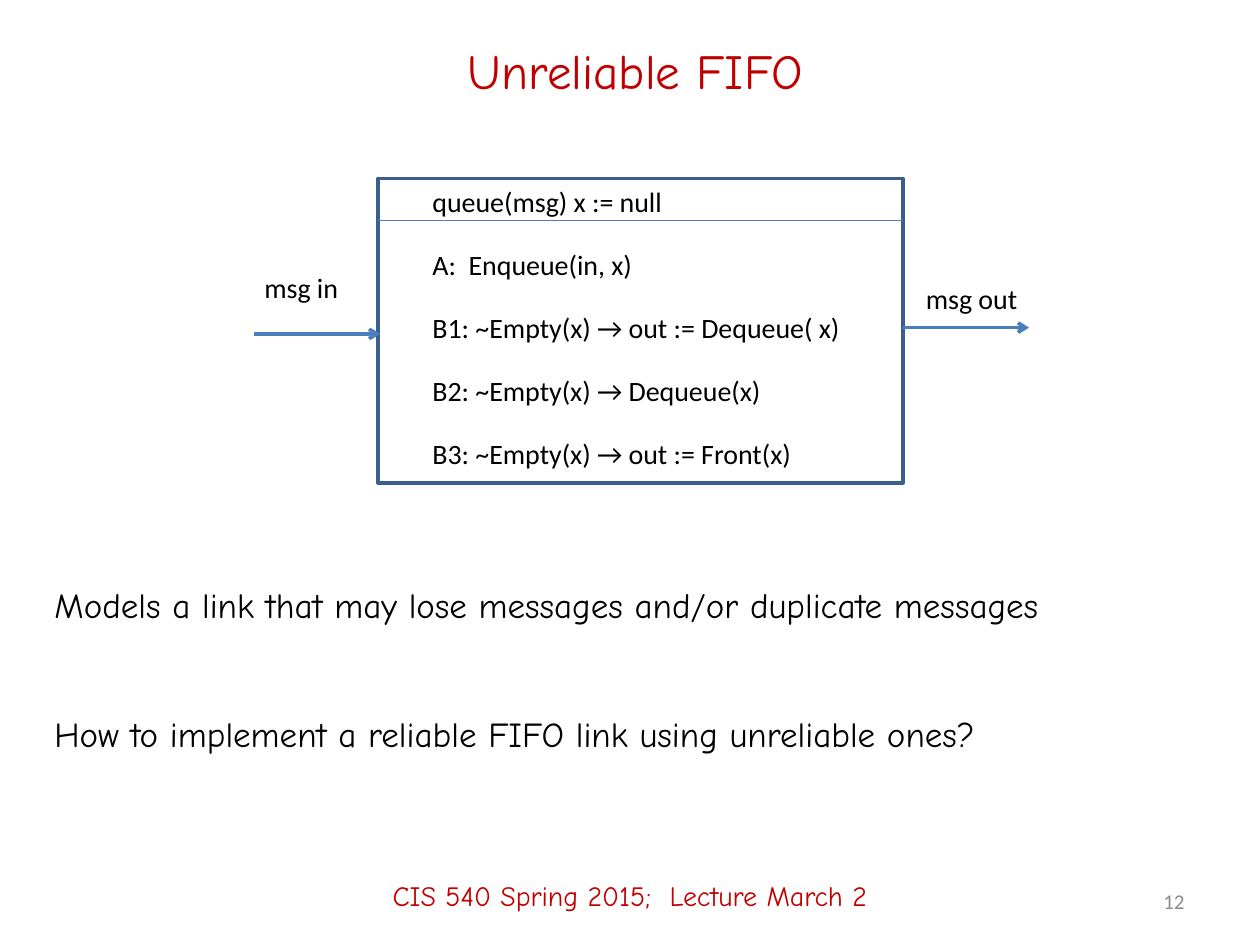
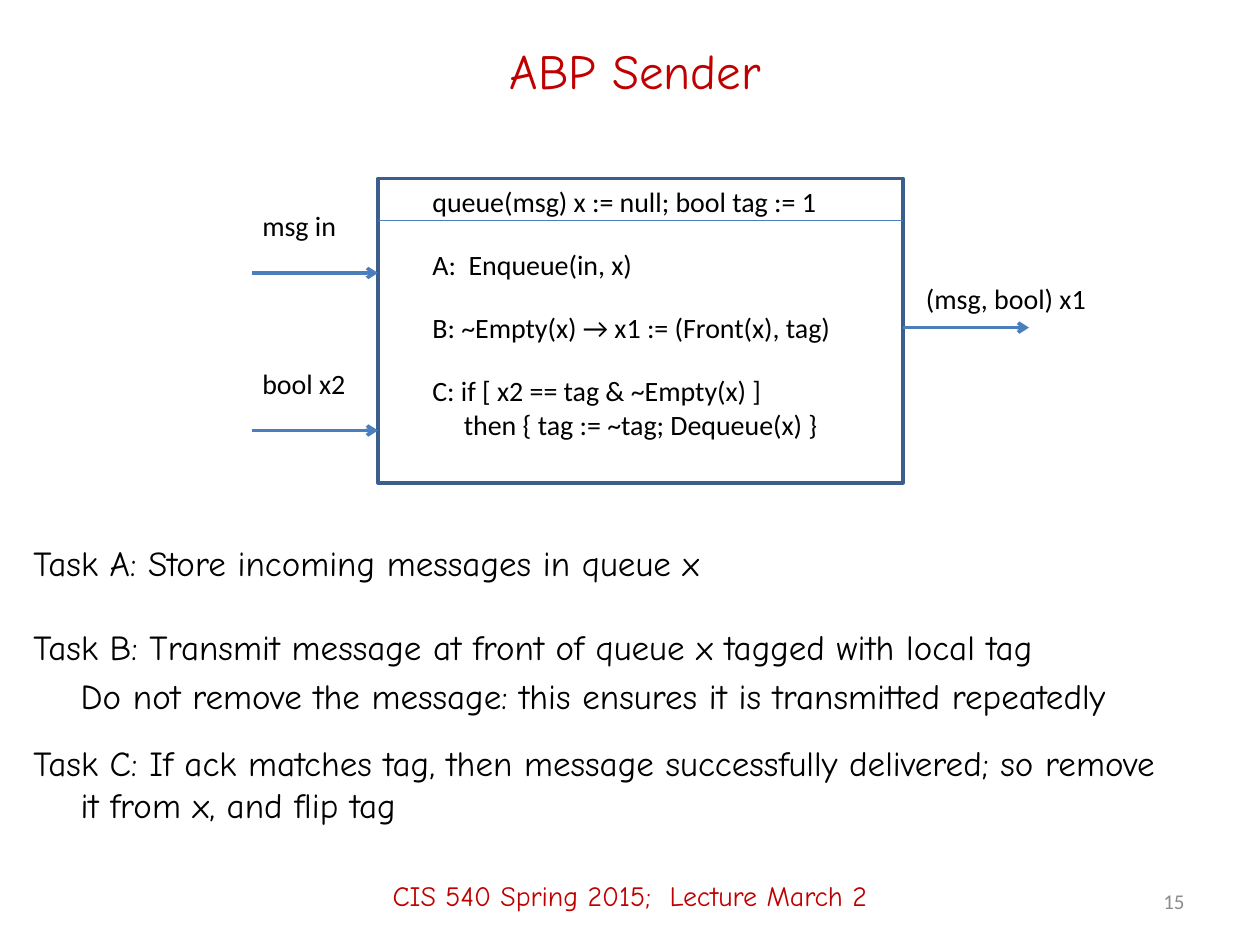
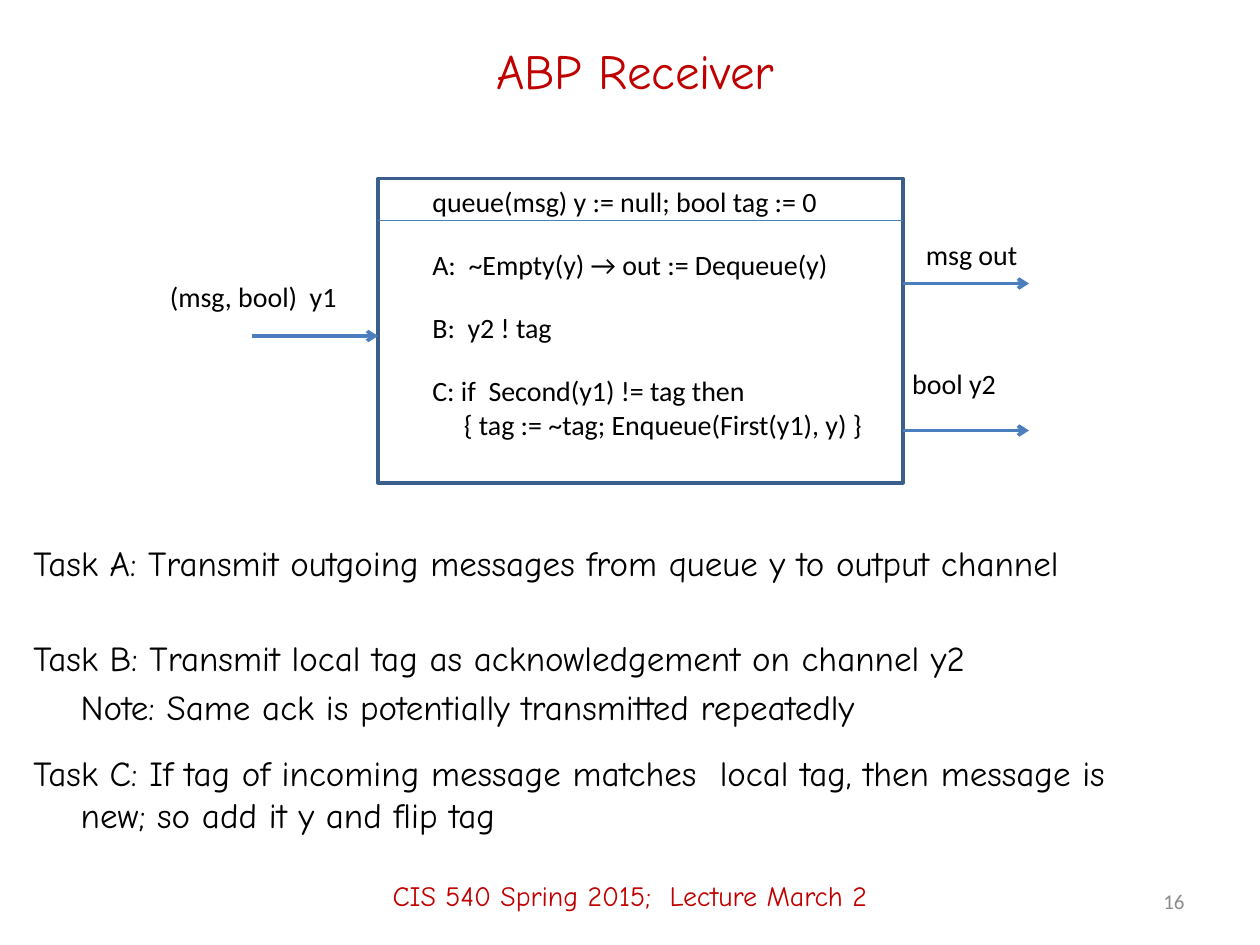
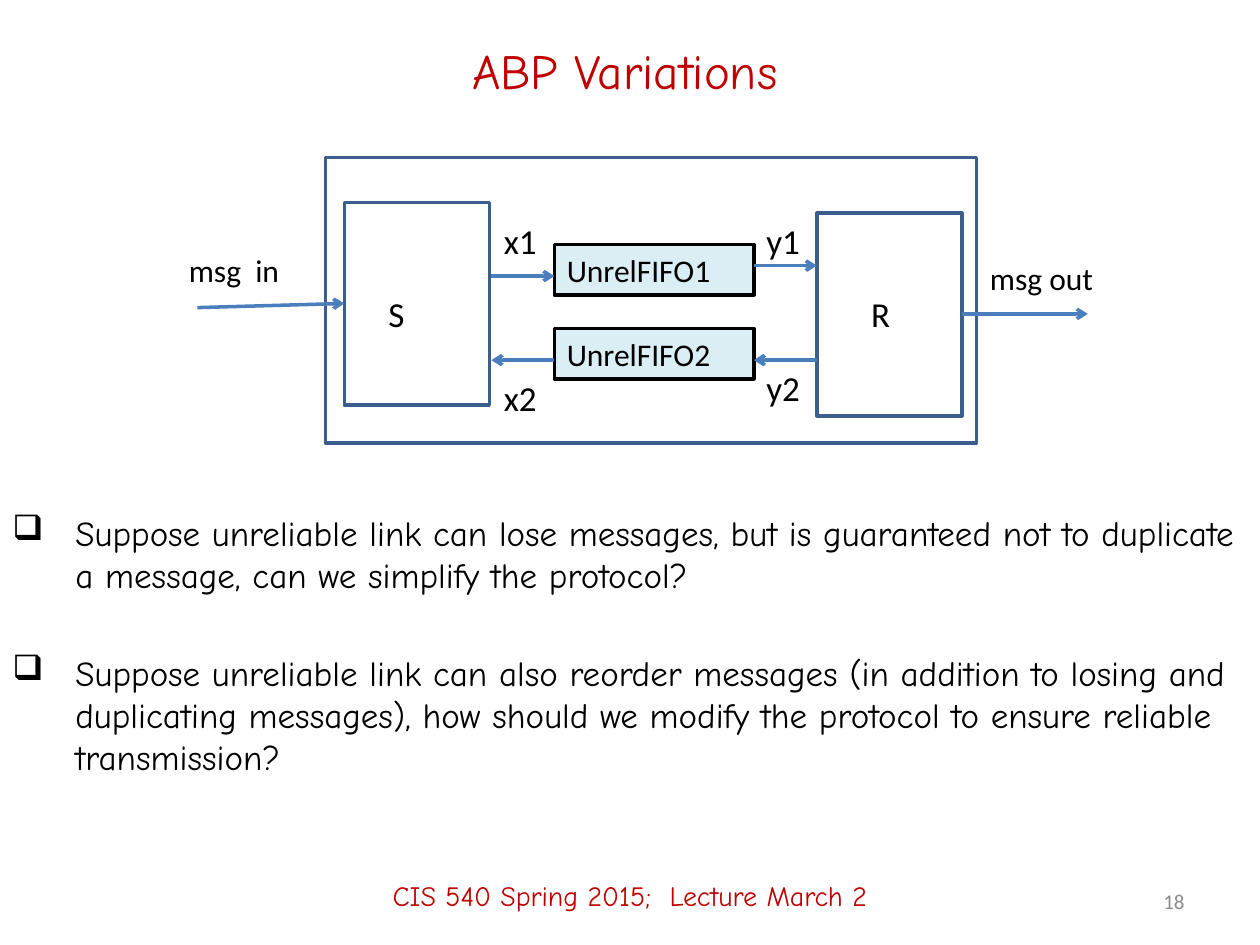
from pptx import Presentation
from pptx.util import Pt
from pptx.dml.color import RGBColor as RGB
from pptx.enum.shapes import MSO_SHAPE as SHAPE, MSO_CONNECTOR as CONN
from pptx.enum.text import PP_ALIGN as AL, MSO_ANCHOR as ANC, MSO_AUTO_SIZE as AUTO
from pptx.oxml.ns import qn
from lxml import etree

PX = 7620  # 120 px to the inch
COLORS = {"red": "C00000", "black": "000000", "gray": "8C8C8C",
          "frame": "3A5F8C", "arrow": "4B7EBC", "pale": "DBEEF4"}
HAND, SANS = "Comic Neue", "Calibri"
BODY = dict(size=20, font=HAND, hang=45)


def add_text(s, text, x, y, w, h, size=16, font=SANS, color="black", align=AL.LEFT,
             anchor=ANC.TOP, wrap=True, hang=0, bullet=None, gap=0, top=6,
             fill=None, line=None):
    """Add a text box, or a rectangle when a line colour is given."""
    box = [v * PX for v in (x, y, w, h)]
    if line:
        sp = s.shapes.add_shape(SHAPE.RECTANGLE, *box)
        sp.shadow.inherit = False
        sp.line.color.rgb = RGB.from_string(COLORS[line])
        sp.line.width = Pt(2)
        if fill:
            sp.fill.solid()
            sp.fill.fore_color.rgb = RGB.from_string(COLORS[fill])
        else:
            sp.fill.background()
    else:
        sp = s.shapes.add_textbox(*box)
    if not text:
        return
    tf = sp.text_frame
    tf.word_wrap = wrap
    tf.auto_size = AUTO.NONE if wrap else AUTO.SHAPE_TO_FIT_TEXT
    tf.vertical_anchor = anchor
    tf.margin_top = top * PX
    for i, part in enumerate(text.split("\n")):
        p = tf.paragraphs[0] if i == 0 else tf.add_paragraph()
        p.alignment = align
        if hang:
            pPr = p._p.get_or_add_pPr()
            pPr.set("marL", str(hang * PX))
            pPr.set("indent", str(0 if i and not bullet else -hang * PX))
            if bullet:
                etree.SubElement(pPr, qn("a:buChar")).set("char", bullet)
        if i:
            p.space_before = Pt(gap)
        r = p.add_run()
        r.text = part
        r.font.size = Pt(size)
        r.font.name = font
        r.font.color.rgb = RGB.from_string(COLORS[color])


def add_line(s, x1, y1, x2, y2, width=2, arrow=True):
    c = s.shapes.add_connector(CONN.STRAIGHT, *[v * PX for v in (x1, y1, x2, y2)])
    c.line.color.rgb = RGB.from_string(COLORS["arrow"])
    c.line.width = Pt(width)
    if arrow:
        etree.SubElement(c.line._get_or_add_ln(), qn("a:tailEnd")).set("type", "arrow")
    etree.SubElement(c._element.spPr, qn("a:effectLst"))


prs = Presentation()
prs.slide_width, prs.slide_height = 1200 * PX, 900 * PX

# Title, footer and number of every slide
slides = []
for title, x, number in [("Unreliable FIFO", 90, 12), ("ABP Sender", 90, 15),
                         ("ABP Receiver", 90, 16), ("ABP Variations", 80, 18)]:
    s = prs.slides.add_slide(prs.slide_layouts[6])
    slides.append(s)
    add_text(s, title, x, 20, 1030, 94, size=28, font=HAND, color="red",
             align=AL.CENTER, anchor=ANC.MIDDLE)
    add_text(s, "CIS 540 Spring 2015;  Lecture March 2", 0, 806, 1200, 94, font=HAND,
             color="red", align=AL.CENTER, anchor=ANC.MIDDLE)
    add_text(s, str(number), 860, 834, 280, 48, size=12, color="gray",
             align=AL.RIGHT, anchor=ANC.MIDDLE)

# Component slides: code (text, width), ports (label, x, y, width, arrow x, arrow y)
# and notes (text, x, y, width, height)
components = [
    dict(code=[("queue(msg) x := null", 245), ("A:  Enqueue(in, x)", 217),
               ("B1: ~Empty(x) → out := Dequeue( x)", 433),
               ("B2: ~Empty(x) → Dequeue(x)", 343),
               ("B3: ~Empty(x) → out := Front(x)", 386)],
         ports=[("msg in", 240, 252, 95, 242, 318),
                ("msg out", 870, 262, 113, 860, 312)],
         notes=[("Models a link that may lose messages and/or duplicate messages",
                 40, 550, 1100, 90),
                ("How to implement a reliable FIFO link using unreliable ones?",
                 40, 673, 980, 70)]),
    dict(code=[("queue(msg) x := null; bool tag := 1", 394), ("A:  Enqueue(in, x)", 217),
               ("B: ~Empty(x) → x1 := (Front(x), tag)", 410),
               ("C: if [ x2 == tag & ~Empty(x) ]\n     then { tag := ~tag; Dequeue(x) }", 396)],
         ports=[("msg in", 238, 193, 95, 240, 260),
                ("bool x2", 238, 343, 104, 240, 410),
                ("(msg, bool) x1", 870, 262, 179, 860, 312)],
         notes=[("Task A: Store incoming messages in queue x", 20, 510, 1100, 90),
                ("Task B: Transmit message at front of queue x tagged with local tag\n"
                 "Do not remove the message: this ensures it is transmitted repeatedly",
                 20, 590, 1160, 90),
                ("Task C: If ack matches tag, then message successfully delivered; "
                 "so remove it from x, and flip tag", 20, 700, 1100, 90)]),
    dict(code=[("queue(msg) y := null; bool tag := 0", 394),
               ("A:  ~Empty(y) → out := Dequeue(y)", 408), ("B:  y2 ! tag", 139),
               ("C: if  Second(y1) != tag then\n     { tag := ~tag; Enqueue(First(y1), y) }", 439)],
         ports=[("(msg, bool)  y1", 150, 260, 185, 240, 320),
                ("msg out", 870, 220, 113, 860, 270),
                ("bool y2", 857, 343, 106, 860, 410)],
         notes=[("Task A: Transmit outgoing messages from queue y to output channel",
                 20, 510, 1100, 90),
                ("Task B: Transmit local tag as acknowledgement on channel y2\n"
                 "Note: Same ack is potentially transmitted repeatedly", 20, 600, 1160, 90),
                ("Task C: If tag of incoming message matches  local tag, then message is new; "
                 "so add it y and flip tag", 20, 710, 1100, 90)]),
]
for s, comp in zip(slides, components):
    add_text(s, "", 360, 170, 500, 290, line="frame")
    add_line(s, 360, 210, 860, 210, width=0.75, arrow=False)
    for i, (code, w) in enumerate(comp["code"]):
        add_text(s, code, 400, 170 + 60 * i, w, 44 + 33 * code.count("\n"), wrap=False)
    for label, x, y, w, ax, ay in comp["ports"]:
        add_text(s, label, x, y, w, 44, wrap=False)
        add_line(s, ax, ay, ax + 120, ay)
    for note in comp["notes"]:
        add_text(s, *note, gap=4, **BODY)

# Variations slide: protocol diagram
s = slides[3]
for frame in [(310, 150, 620, 272), (328, 193, 138, 193), (778, 203, 138, 193)]:
    add_text(s, "", *frame, line="frame")
for name, y in [("UnrelFIFO1", 233), ("UnrelFIFO2", 313)]:
    add_text(s, name, 528, y, 190, 48, size=18, fill="pale", line="black")
for arrow in [(188, 293, 328, 289), (916, 299, 1036, 299), (468, 263, 528, 263),
              (718, 253, 778, 253), (778, 343, 718, 343), (528, 343, 468, 343)]:
    add_line(s, *arrow)
add_text(s, "msg  in", 168, 233, 126, 48, size=18)
add_text(s, "msg out", 931, 241, 124, 48, size=18, wrap=False)
for name, x, y in [("x1", 468, 203), ("x2", 468, 353), ("y1", 718, 203),
                   ("y2", 718, 343), ("S", 358, 273), ("R", 818, 273)]:
    add_text(s, name, x, y, 70, 53, size=20)

# Variations slide: questions
add_text(s, "Suppose unreliable link can lose messages, but is guaranteed not to duplicate "
         "a message, can we simplify the protocol?\n"
         "Suppose unreliable link can also reorder messages (in addition to losing and "
         "duplicating messages), how should we modify the protocol to ensure reliable "
         "transmission?", 0, 430, 1196, 370, size=20, font=HAND, hang=60, bullet="❑",
         gap=32, top=57)

prs.save("out.pptx")
